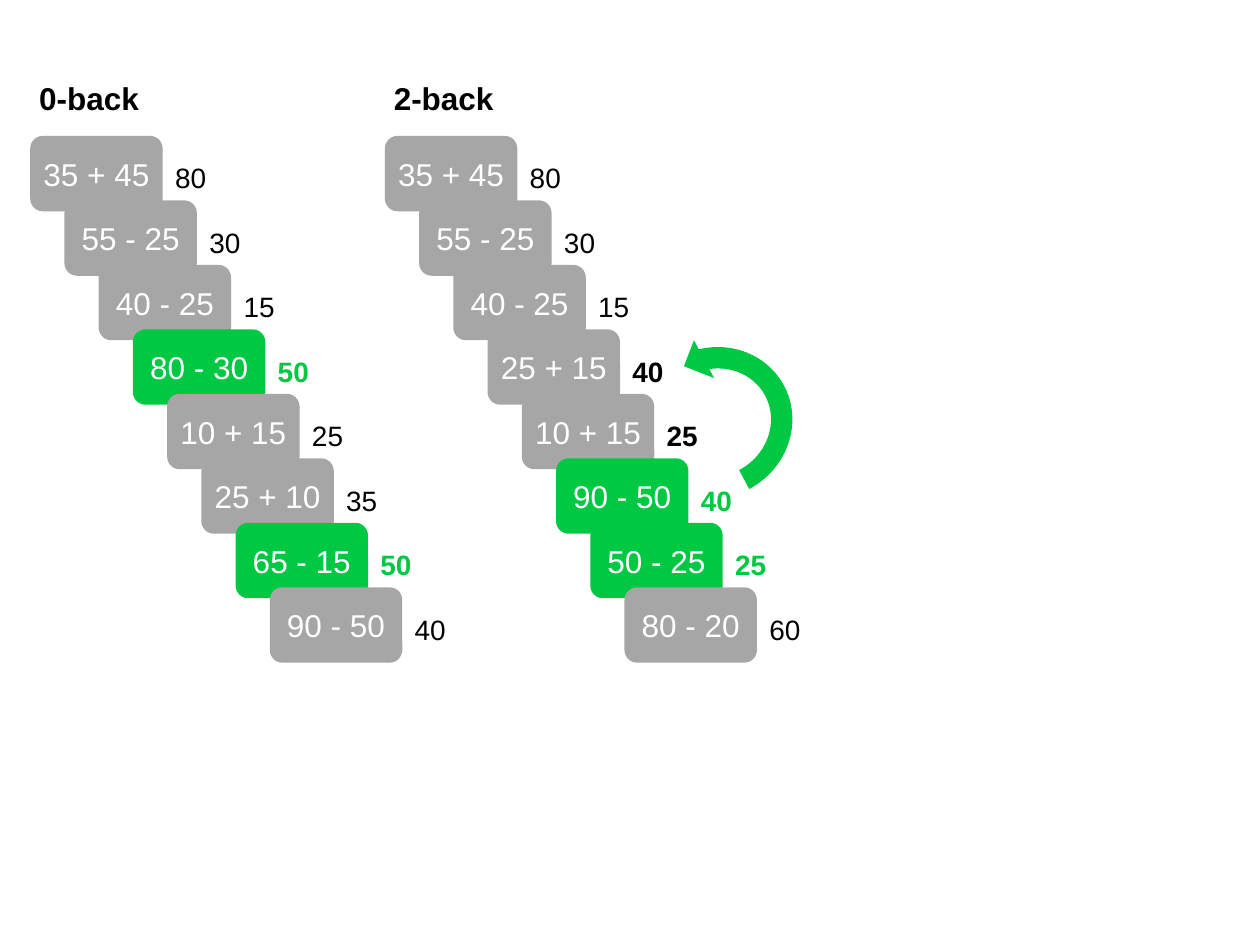
import pptx
import pptx.util
import pptx.dml.color
import pptx.enum.shapes
import pptx.enum.text

Cm = pptx.util.Cm
Shapes = pptx.enum.shapes.MSO_SHAPE
GREEN, GREY, BLACK, WHITE = "00C843", "A6A6A6", "000000", "FFFFFF"
CARD_WIDTH, CARD_HEIGHT = Cm(2.67), Cm(1.52)
STEP_X, STEP_Y = Cm(0.69), Cm(1.3)

ZERO_BACK = [
    ("35 + 45", "80", GREY, BLACK, False),
    ("55 - 25", "30", GREY, BLACK, False),
    ("40 - 25", "15", GREY, BLACK, False),
    ("80 - 30", "50", GREEN, GREEN, True),
    ("10 + 15", "25", GREY, BLACK, False),
    ("25 + 10", "35", GREY, BLACK, False),
    ("65 - 15", "50", GREEN, GREEN, True),
    ("90 - 50", "40", GREY, BLACK, False),
]
TWO_BACK = ZERO_BACK[:3] + [
    ("25 + 15", "40", GREY, BLACK, True),
    ("10 + 15", "25", GREY, BLACK, True),
    ("90 - 50", "40", GREEN, GREEN, True),
    ("50 - 25", "25", GREEN, GREEN, True),
    ("80 - 20", "60", GREY, BLACK, False),
]


def rgb(color):
    return pptx.dml.color.RGBColor.from_string(color)


def write(frame, text, size, color, bold):
    frame.word_wrap = True
    paragraph = frame.paragraphs[0]
    paragraph.text = text
    font = paragraph.font
    font.name, font.size, font.bold = "Arial", pptx.util.Pt(size), bold
    font.color.rgb = rgb(color)
    return paragraph


def add_filled(slide, kind, left, top, width, height, fill):
    shape = slide.shapes.add_shape(kind, left, top, width, height)
    shape.shadow.inherit = False
    shape.line.fill.background()
    if fill:
        shape.fill.solid()
        shape.fill.fore_color.rgb = rgb(fill)
    else:
        shape.fill.background()
    return shape


def add_card(slide, left, top, width, text, fill=None, color=WHITE, bold=False):
    card = add_filled(slide, Shapes.ROUNDED_RECTANGLE, left, top, width, CARD_HEIGHT, fill)
    frame = card.text_frame
    frame.margin_left = frame.margin_right = Cm(0.1)
    frame.margin_top = frame.margin_bottom = Cm(0.1)
    frame.vertical_anchor = pptx.enum.text.MSO_ANCHOR.MIDDLE
    paragraph = write(frame, text, 18, color, bold)
    paragraph.alignment = pptx.enum.text.PP_ALIGN.CENTER


def add_answer(slide, left, top, text, color, bold):
    answer = slide.shapes.add_textbox(left, top, Cm(1.47), Cm(0.74))
    write(answer.text_frame, text, 16, color, bold)
    answer.text_frame.auto_size = pptx.enum.text.MSO_AUTO_SIZE.SHAPE_TO_FIT_TEXT


def add_task(slide, left, top, heading, trials):
    add_card(slide, left, top, Cm(3.33), heading, color=BLACK, bold=True)
    for i, (problem, result, fill, color, bold) in enumerate(trials):
        card_left = left + Cm(0.48) + i * STEP_X
        card_top = top + CARD_HEIGHT + i * STEP_Y
        add_card(slide, card_left, card_top, CARD_WIDTH, problem, fill)
        add_answer(slide, card_left + CARD_WIDTH, card_top + Cm(0.38), result, color, bold)


def add_return_arrow(slide, left, top, width, height):
    arrow = add_filled(slide, Shapes.CIRCULAR_ARROW, left, top, width, height, GREEN)
    arrow.rotation = 62
    arrow.element.spPr.xfrm.set("flipH", "1")


def main():
    deck = pptx.Presentation()
    deck.slide_width, deck.slide_height = Cm(25.4), Cm(19.05)
    slide = deck.slides.add_slide(deck.slide_layouts[6])
    add_task(slide, Cm(0.13), Cm(1.22), "0-back", ZERO_BACK)
    add_task(slide, Cm(7.28), Cm(1.22), "2-back", TWO_BACK)
    add_return_arrow(slide, Cm(12.67), Cm(6.71), Cm(3.45), Cm(3.63))
    deck.save("out.pptx")


if __name__ == "__main__":
    main()
